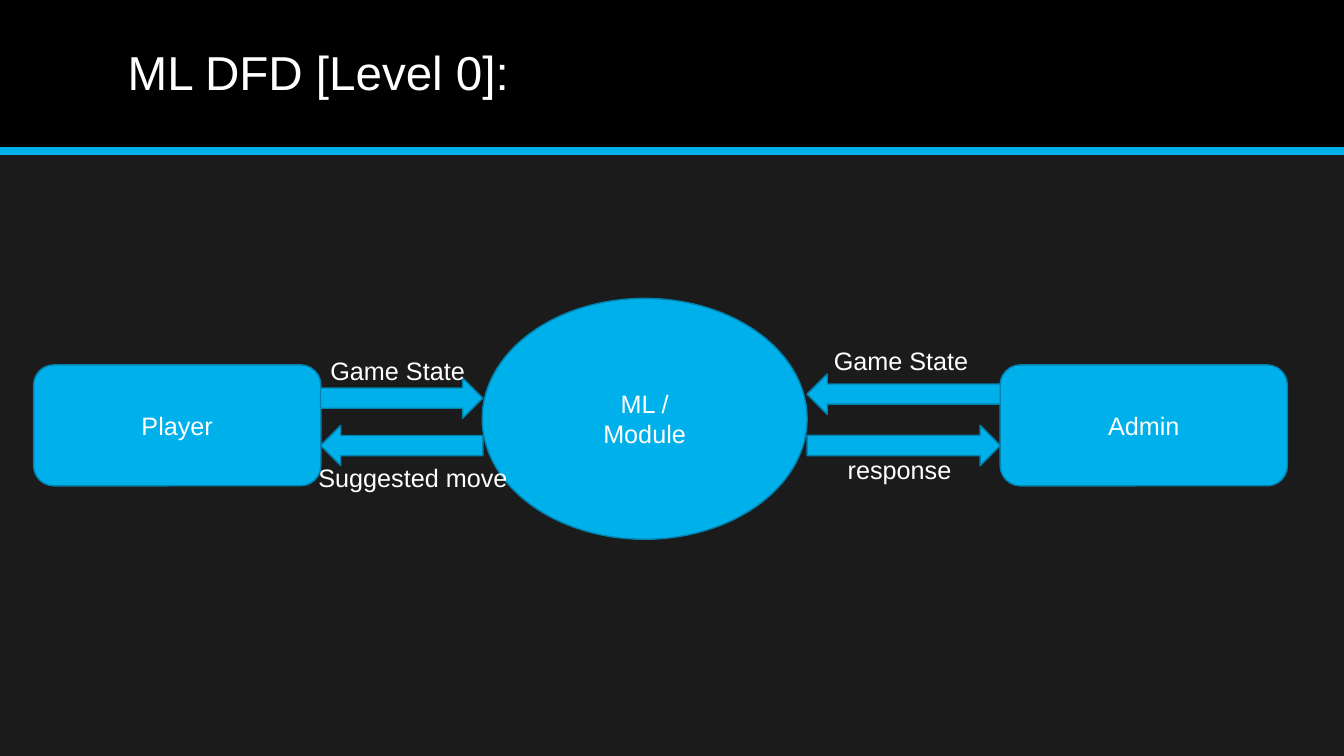
import pptx
import pptx.dml.color
import pptx.enum.shapes
import pptx.enum.text
import pptx.util
import lxml.etree

COLORS = {
    "background": "1B1B1B",
    "header": "000000",
    "accent": "00B0EA",
    "outline": "0082AD",
    "text": "FFFFFF",
}
COLUMNS, ROWS = 80, 45
SHAPES = pptx.enum.shapes.MSO_SHAPE
ALIGN = pptx.enum.text.PP_ALIGN
MIDDLE = pptx.enum.text.MSO_ANCHOR.MIDDLE

presentation = pptx.Presentation()
presentation.slide_width = pptx.util.Inches(13.33)
presentation.slide_height = pptx.util.Inches(7.5)
slide = presentation.slides.add_slide(presentation.slide_layouts[5])


def grid(left, top, width, height):
    column = presentation.slide_width / COLUMNS
    row = presentation.slide_height / ROWS
    return [round(n * unit) for n, unit in zip((left, top, width, height), (column, row) * 2)]


def write(shape, text, size, frame_format, paragraph_format):
    frame = shape.text_frame
    frame.text = text
    for name, value in frame_format.items():
        setattr(frame, name, value)
    for paragraph in frame.paragraphs:
        for name, value in paragraph_format.items():
            setattr(paragraph, name, value)
        for run in paragraph.runs:
            for name, value in {"name": "Arial", "size": pptx.util.Pt(size), "bold": False}.items():
                setattr(run.font, name, value)
            run.font.color.rgb = pptx.dml.color.RGBColor.from_string(COLORS["text"])


slide.background.fill.solid()
slide.background.fill.fore_color.rgb = pptx.dml.color.RGBColor.from_string(COLORS["background"])

header = slide.shapes.add_shape(SHAPES.RECTANGLE, *grid(0, 0, COLUMNS, 9))
header.shadow.inherit = False
header.fill.solid()
header.fill.fore_color.rgb = pptx.dml.color.RGBColor.from_string(COLORS["header"])
header.line.fill.background()

left, top, width, height = grid(0, 9, COLUMNS, 0)
rule = slide.shapes.add_connector(
    pptx.enum.shapes.MSO_CONNECTOR.STRAIGHT, left, top, left + width, top
)
rule.line.color.rgb = pptx.dml.color.RGBColor.from_string(COLORS["accent"])
rule.line.width = pptx.util.Pt(6)
lxml.etree.SubElement(
    rule.element.spPr, "{http://schemas.openxmlformats.org/drawingml/2006/main}effectLst"
)

title = slide.shapes.title
for backdrop in (header, rule):
    title.element.addprevious(backdrop.element)
for name, value in zip(("left", "top", "width", "height"), grid(7, 0.84, 66, 7.2)):
    setattr(title, name, value)
write(
    title,
    "ML DFD [Level 0]:",
    34,
    {"vertical_anchor": MIDDLE, "word_wrap": True},
    {"alignment": ALIGN.LEFT, "line_spacing": 0.9},
)

diagram = [
    (SHAPES.ROUNDED_RECTANGLE, (2, 21.72, 17.1, 7.2), 0, "Player"),
    (SHAPES.RIGHT_ARROW, (19.08, 22.5, 9.66, 2.4), 0, ""),
    (SHAPES.OVAL, (28.7, 17.76, 19.34, 14.34), 0, "ML /\nModule"),
    (SHAPES.ROUNDED_RECTANGLE, (59.53, 21.72, 17.1, 7.2), 0, "Admin"),
    (SHAPES.RIGHT_ARROW, (48.04, 25.32, 11.5, 2.4), 0, ""),
    (SHAPES.RIGHT_ARROW, (48.04, 22.26, 11.5, 2.4), 180, ""),
    (SHAPES.RIGHT_ARROW, (19.08, 25.32, 9.66, 2.4), 180, ""),
]
for kind, cells, rotation, text in diagram:
    shape = slide.shapes.add_shape(kind, *grid(*cells))
    shape.rotation = rotation
    shape.shadow.inherit = False
    shape.fill.solid()
    shape.fill.fore_color.rgb = pptx.dml.color.RGBColor.from_string(COLORS["accent"])
    shape.line.color.rgb = pptx.dml.color.RGBColor.from_string(COLORS["outline"])
    shape.line.width = pptx.util.Pt(1)
    if text:
        write(shape, text, 18, {"vertical_anchor": MIDDLE}, {"alignment": ALIGN.CENTER})

labels = [
    ("Game State", (19.08, 20.88, 10.26, 2.4)),
    ("Game State", (49.04, 20.28, 10.98, 2.4)),
    ("response", (49.87, 26.76, 7.56, 2.4)),
    ("Suggested move", (18.36, 27.24, 13.98, 2.4)),
]
for text, cells in labels:
    label = slide.shapes.add_textbox(*grid(*cells))
    write(
        label,
        text,
        18,
        {"word_wrap": True, "auto_size": pptx.enum.text.MSO_AUTO_SIZE.SHAPE_TO_FIT_TEXT},
        {"alignment": ALIGN.LEFT},
    )

presentation.save("out.pptx")
